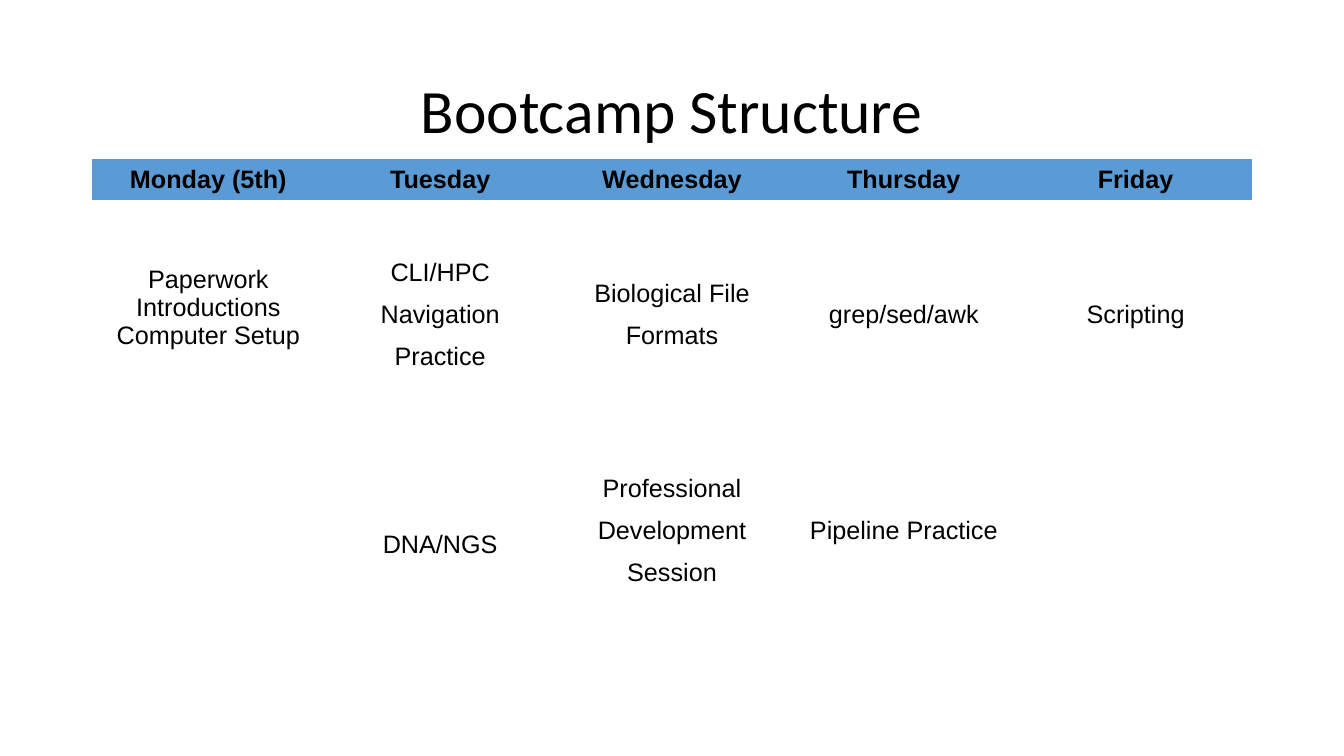
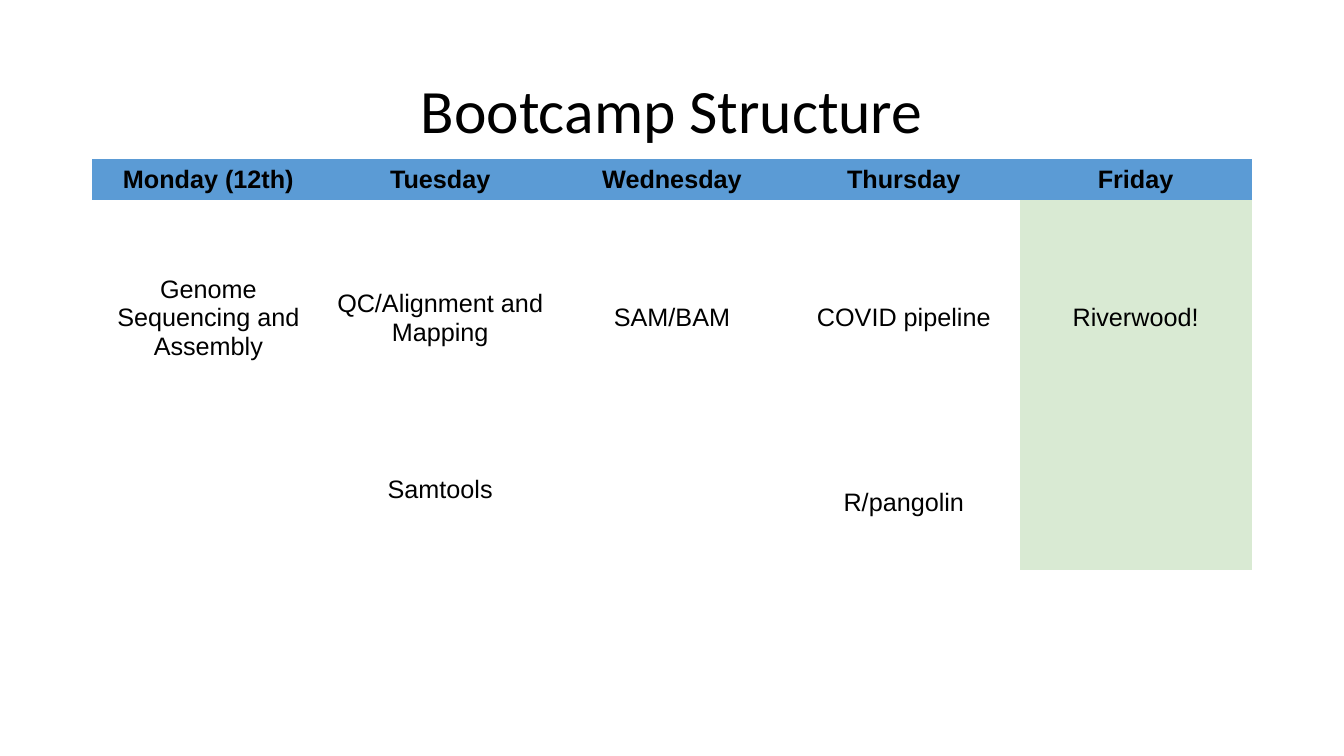
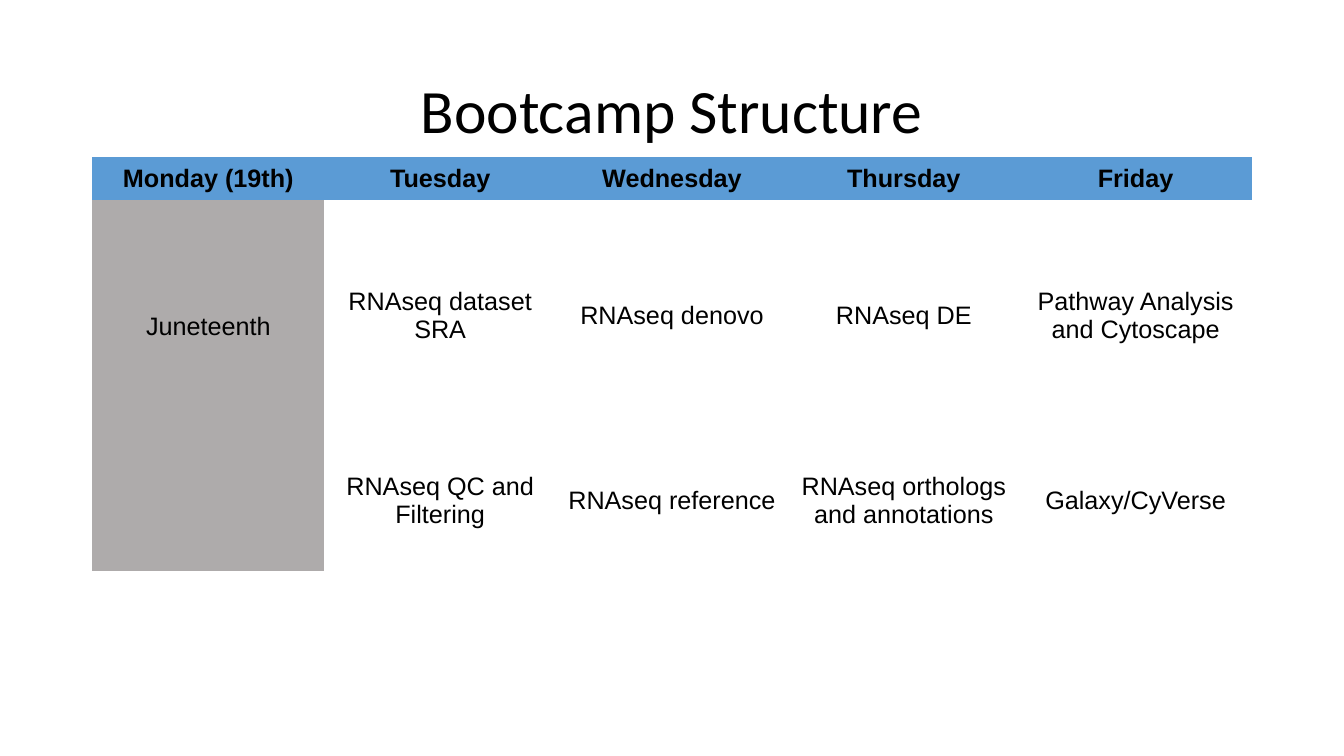
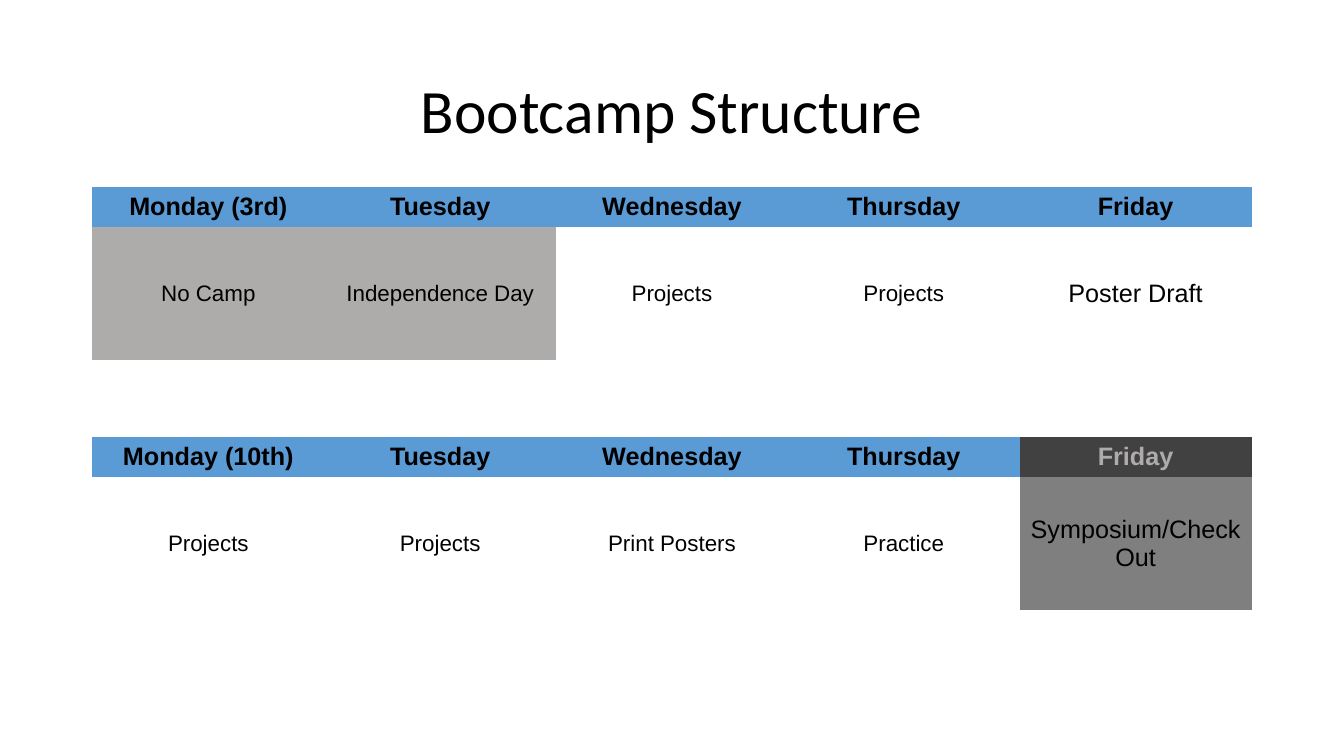
from dataclasses import dataclass

from pptx import Presentation
from pptx.dml.color import RGBColor
from pptx.enum.text import MSO_ANCHOR as Anchor, PP_ALIGN as Align
from pptx.util import Cm, Pt

BLACK = RGBColor(0x00, 0x00, 0x00)
WHITE = RGBColor(0xFF, 0xFF, 0xFF)
HEADER_BLUE = RGBColor(0x5B, 0x9B, 0xD5)
TRIP_GREEN = RGBColor(0xD9, 0xEA, 0xD3)
HOLIDAY_GRAY = RGBColor(0xAE, 0xAB, 0xAB)
CLOSING_DARK = RGBColor(0x41, 0x41, 0x41)
CLOSING_GRAY = RGBColor(0x7F, 0x7F, 0x7F)

TITLE_FONT = "Calibri"
TABLE_FONT = "Arial"
PLAIN_TABLE_STYLE = "{2D5ABB26-0587-4C30-8999-92F81FD0307C}"

LEFT, WIDTH = 2.33, 29.21
SIDE_MARGIN, EDGE_MARGIN = 0.25, 0.13
HEADER_HEIGHT = 0.98


@dataclass
class Entry:
    """One table cell; space_above and space_below move it off the middle."""
    text: str = ""
    fill: RGBColor = WHITE
    color: RGBColor = BLACK
    size: int = 18
    bold: bool = False
    line_spacing: float = 1.0
    space_above: float = 0
    space_below: float = 0


def write_text(frame, text, *, font, size, color=BLACK, bold=False, line_spacing=1.0):
    """Write centred text, one paragraph for each line."""
    for index, line in enumerate(text.split("\n")):
        paragraph = frame.add_paragraph() if index else frame.paragraphs[0]
        paragraph.alignment = Align.CENTER
        paragraph.line_spacing = line_spacing
        paragraph.font.name = font
        paragraph.font.size = Pt(size)
        paragraph.font.bold = bold
        paragraph.font.color.rgb = color
        if line:
            run = paragraph.add_run()
            run.text = line
            run.font.name = font
            run.font.size = Pt(size)
            run.font.bold = bold
            run.font.color.rgb = color


def add_titled_slide(presentation):
    slide = presentation.slides.add_slide(presentation.slide_layouts[6])
    box = slide.shapes.add_textbox(Cm(LEFT), Cm(1.01), Cm(WIDTH), Cm(3.68))
    box.text_frame.word_wrap = True
    box.text_frame.vertical_anchor = Anchor.MIDDLE
    write_text(box.text_frame, "Bootcamp Structure",
               font=TITLE_FONT, size=44, line_spacing=0.9)
    return slide


def fill_cell(cell, entry):
    cell.fill.solid()
    cell.fill.fore_color.rgb = entry.fill
    cell.vertical_anchor = Anchor.MIDDLE
    cell.margin_left = cell.margin_right = Cm(SIDE_MARGIN)
    cell.margin_top = Cm(EDGE_MARGIN + entry.space_above)
    cell.margin_bottom = Cm(EDGE_MARGIN + entry.space_below)
    write_text(cell.text_frame, entry.text, font=TABLE_FONT, size=entry.size,
               color=entry.color, bold=entry.bold, line_spacing=entry.line_spacing)


def header(date, friday_fill=HEADER_BLUE, friday_color=BLACK):
    days = [f"Monday ({date})", "Tuesday", "Wednesday", "Thursday"]
    entries = [Entry(day, fill=HEADER_BLUE, bold=True) for day in days]
    return entries + [Entry("Friday", fill=friday_fill, color=friday_color, bold=True)]


def add_week(slide, top, heights, rows):
    """Add a five-day table; plain strings become default entries."""
    frame = slide.shapes.add_table(len(rows), len(rows[0]), Cm(LEFT), Cm(top),
                                   Cm(WIDTH), Cm(sum(heights)))
    table = frame.table
    table.horz_banding = False
    table._tbl.tblPr[0].text = PLAIN_TABLE_STYLE
    for table_row, height, entries in zip(table.rows, heights, rows):
        table_row.height = Cm(height)
        for cell, entry in zip(table_row.cells, entries):
            fill_cell(cell, entry if isinstance(entry, Entry) else Entry(entry))


def loose(text, **options):
    return Entry(text, line_spacing=1.5, **options)


def small(text, **options):
    return Entry(text, size=16, **options)


def main():
    presentation = Presentation()
    presentation.slide_width = Cm(33.87)
    presentation.slide_height = Cm(19.05)

    slide = add_titled_slide(presentation)
    add_week(slide, 4.01, [HEADER_HEIGHT, 5.44, 5.44], [
        header("5th"),
        ["Paperwork\nIntroductions\nComputer Setup",
         loose("CLI/HPC\nNavigation Practice"),
         loose("Biological File Formats"),
         loose("grep/sed/awk"),
         loose("Scripting")],
        ["",
         loose("DNA/NGS", space_above=0.71),
         loose("Professional Development Session"),
         loose("Pipeline Practice"),
         ""],
    ])

    slide = add_titled_slide(presentation)
    add_week(slide, 4.01, [HEADER_HEIGHT, 5.97, 3.35], [
        header("12th"),
        ["Genome Sequencing and Assembly", "QC/Alignment and Mapping", "SAM/BAM",
         "COVID pipeline", Entry("Riverwood!", fill=TRIP_GREEN)],
        ["", Entry("Samtools", space_below=0.7), "", "R/pangolin",
         Entry(fill=TRIP_GREEN)],
    ])

    slide = add_titled_slide(presentation)
    add_week(slide, 3.96, [1.07, 5.84, 3.51], [
        header("19th"),
        [Entry("Juneteenth", fill=HOLIDAY_GRAY, space_above=0.55),
         "RNAseq dataset\nSRA", "RNAseq denovo", "RNAseq DE",
         "Pathway Analysis and Cytoscape"],
        [Entry(fill=HOLIDAY_GRAY), "RNAseq QC and Filtering", "RNAseq reference",
         "RNAseq orthologs and annotations", "Galaxy/CyVerse"],
    ])

    slide = add_titled_slide(presentation)
    project_heights = [HEADER_HEIGHT, 3.35]
    add_week(slide, 4.7, project_heights, [
        header("3rd"),
        [small("No Camp", fill=HOLIDAY_GRAY),
         small("Independence Day", fill=HOLIDAY_GRAY),
         small("Projects"), small("Projects"), "Poster Draft"],
    ])
    add_week(slide, 11, project_heights, [
        header("10th", friday_fill=CLOSING_DARK, friday_color=HOLIDAY_GRAY),
        [small("Projects"), small("Projects"), small("Print Posters"),
         small("Practice"), Entry("Symposium/Check Out", fill=CLOSING_GRAY)],
    ])

    presentation.save("out.pptx")


if __name__ == "__main__":
    main()
